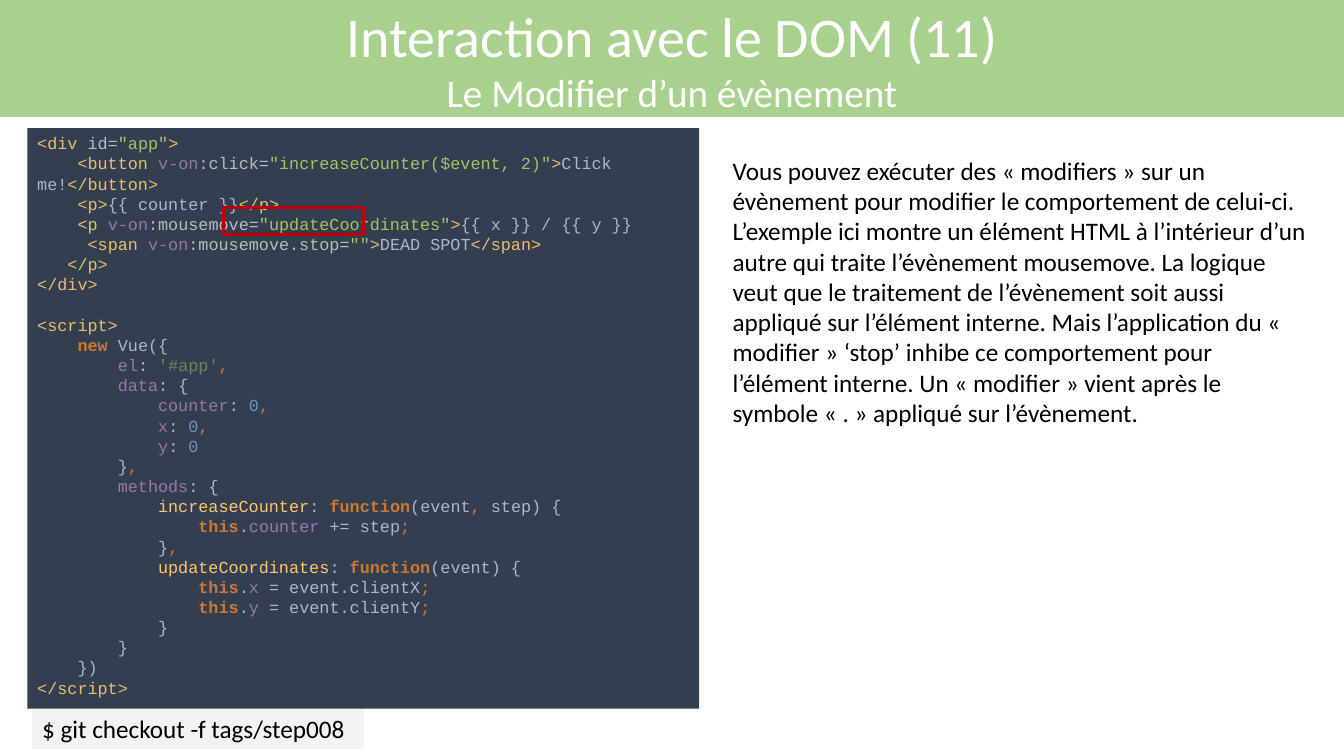
from lxml import etree
from pptx import Presentation
from pptx import util as u
from pptx.dml.color import RGBColor
from pptx.enum import shapes, text
from pptx.oxml.ns import qn

COLORS = {
    "band": "A9D18E", "white": "FFFFFF", "black": "000000",
    "panel": "333F50", "command": "F2F2F2", "highlight": "C00000",
    "tag": "E8BF6A", "attr": "BABABA", "str": "A5C261", "name": "9876AA",
    "txt": "A9B7C6", "key": "CC7832", "mark": "CC7832", "lit": "6A8759",
    "num": "6897BB", "fn": "FFC66D",
}

CODE = [
    [
        'tag:<div |attr:id=|str:"app"|tag:>',
        'tag:    <button |name:v-on|attr::click=|str:"increaseCounter($event, 2)"|tag:>|txt:Click me!|tag:</button>',
        'tag:    <p>|txt:{{ counter }}|tag:</p>',
        'tag:    <p |name:v-on|attr::mousemove=|str:"updateCoordinates"|tag:>|txt:{{ x }} / {{ y }}',
    ],
    [
        'tag:\t<span |name:v-on|attr::mousemove.stop=|str:""|tag:>|txt:DEAD SPOT|tag:</span>',
    ],
    [
        'tag:   </p>',
        'tag:</div>',
        '',
        'tag:<script>',
        'key:    new |txt:Vue({',
        "name:        el|txt:: |lit:'#app'|mark:,",
        'name:        data|txt:: {',
        'name:            counter|txt:: |num:0|mark:,',
        'name:            x|txt:: |num:0|mark:,',
        'name:            y|txt:: |num:0',
        'txt:        }|mark:,',
        'name:        methods|txt:: {',
        'fn:            increaseCounter|txt:: |key:function|txt:(event|mark:, |txt:step) {',
        'key:                this|txt:.|name:counter |txt:+= step|mark:;',
        'txt:            }|mark:,',
        'fn:            updateCoordinates|txt:: |key:function|txt:(event) {',
        'key:                this|txt:.|name:x |txt:= event.clientX|mark:;',
        'key:                this|txt:.|name:y |txt:= event.clientY|mark:;',
        'txt:            }',
        'txt:        }',
        'txt:    })',
        'tag:</script>',
    ],
]

EXPLANATION = (
    "Vous pouvez exécuter des « modifiers » sur un évènement pour modifier le "
    "comportement de celui-ci. L’exemple ici montre un élément HTML à l’intérieur "
    "d’un autre qui traite l’évènement mousemove. La logique veut que le traitement "
    "de l’évènement soit aussi appliqué sur l’élément interne. Mais l’application du "
    "« modifier » ‘stop’ inhibe ce comportement pour l’élément interne. "
    "Un « modifier » vient après le symbole « . » appliqué sur l’évènement."
)


class Deck:
    """Draws styled elements, measured in points, on the current slide."""

    def __init__(self, prs):
        self.s = prs.slides.add_slide(prs.slide_layouts[6])
        self.font, self.mono = "Calibri", "Courier New"
        self.size, self.code_size = 18, 12

    def color(self, name):
        return RGBColor.from_string(COLORS[name])

    def style(self, r, size, color, font, bold=False):
        r.font.name, r.font.size, r.font.bold = font, u.Pt(size), bold
        r.font.color.rgb = self.color(color)

    def rect(self, box, fill=None, line=None, weight=2.25):
        sp = self.s.shapes.add_shape(shapes.MSO_SHAPE.RECTANGLE, *map(u.Pt, box))
        sp.shadow.inherit = False
        if fill:
            sp.fill.solid()
            sp.fill.fore_color.rgb = self.color(fill)
        else:
            sp.fill.background()
        if line:
            sp.line.color.rgb = self.color(line)
            sp.line.width = u.Pt(weight)
        else:
            sp.line.fill.background()
        return sp

    def label(self, sp, lines, color="black", sizes=None, align=text.PP_ALIGN.LEFT,
              anchor=text.MSO_ANCHOR.TOP, wrap=True):
        tf = sp.text_frame
        tf.word_wrap, tf.vertical_anchor = wrap, anchor
        tf.text = "\n".join(lines)
        for p, size in zip(tf.paragraphs, sizes or [self.size] * len(lines)):
            p.alignment = align
            for r in p.runs:
                self.style(r, size, color, self.font)

    def textbox(self, box, lines):
        self.label(self.s.shapes.add_textbox(*map(u.Pt, box)), lines)

    def code(self, box, blocks):
        tf = self.rect(box, "panel").text_frame
        tf.word_wrap, tf.vertical_anchor = True, text.MSO_ANCHOR.TOP
        for i, block in enumerate(blocks):
            p = tf.add_paragraph() if i else tf.paragraphs[0]
            p.alignment = text.PP_ALIGN.LEFT
            for j, line in enumerate(block):
                if j:
                    p.add_line_break()
                for token in filter(None, line.split("|")):
                    kind, code = token.split(":", 1)
                    r = p.add_run()
                    r.text = code
                    self.style(r, self.code_size, kind, self.mono, kind == "key")
            for br in p._p.findall(qn("a:br")):
                rpr = etree.SubElement(br, qn("a:rPr"), sz=str(self.code_size * 100))
                etree.SubElement(rpr, qn("a:latin"), typeface=self.mono)


def main():
    prs = Presentation()
    prs.slide_width, prs.slide_height = u.Pt(960), u.Pt(540)
    d = Deck(prs)
    d.label(d.rect((-0.5, 0, 961, 83.5), "band"),
            ["Interaction avec le DOM (11)", "Le Modifier d’un évènement"],
            "white", (40, 28), text.PP_ALIGN.CENTER, text.MSO_ANCHOR.MIDDLE)
    d.label(d.rect((23, 506.2, 237, 29), "command"),
            ["$ git checkout -f tags/step008"], wrap=False)
    d.textbox((516.2, 107.3, 428.5, 204), [EXPLANATION])
    d.code((19.5, 91.5, 480, 414.7), CODE)
    d.rect((159.8, 148.3, 100, 19.4), line="highlight")
    prs.save("out.pptx")


if __name__ == "__main__":
    main()
